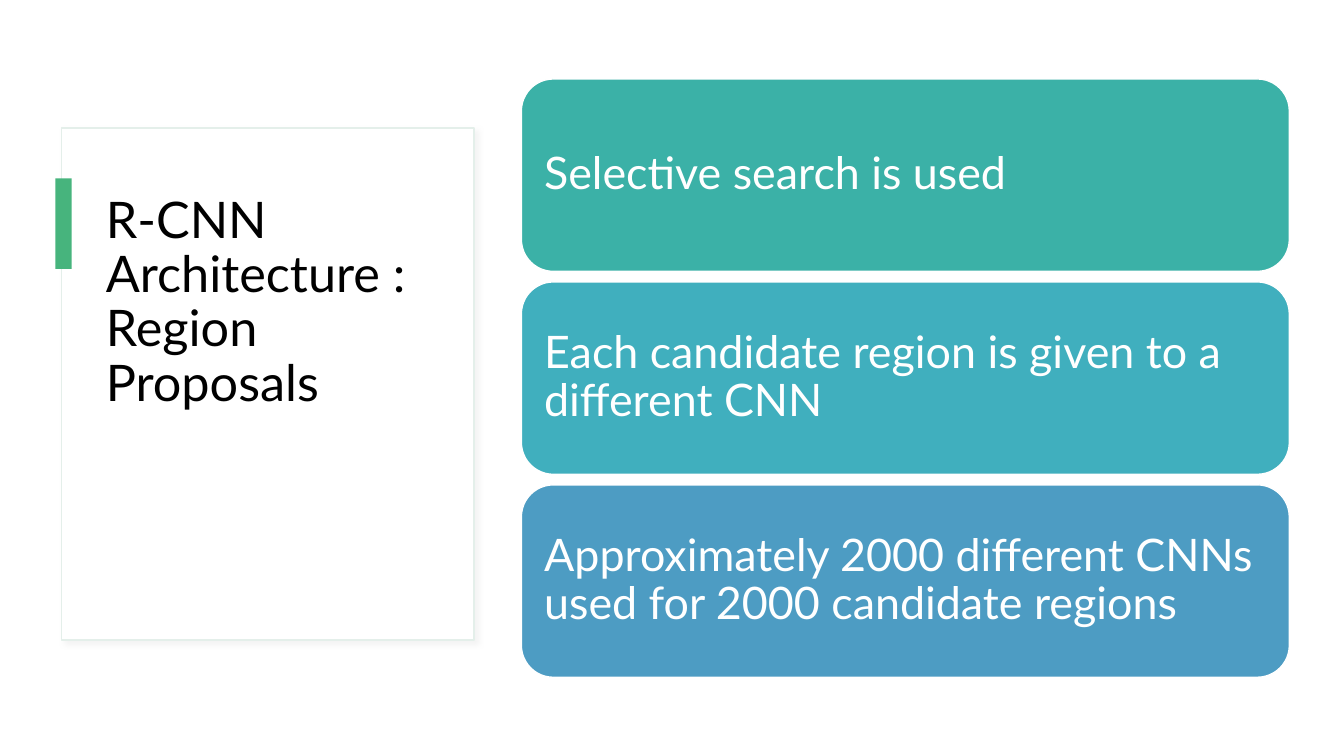
from lxml import etree
from pptx import Presentation
from pptx.dml.color import RGBColor
from pptx.enum.shapes import MSO_SHAPE
from pptx.enum.text import MSO_ANCHOR, PP_ALIGN
from pptx.oxml.ns import qn
from pptx.util import Pt

RECT, ROUND = MSO_SHAPE.RECTANGLE, MSO_SHAPE.ROUNDED_RECTANGLE
TOP, MIDDLE = MSO_ANCHOR.TOP, MSO_ANCHOR.MIDDLE
LEFT = PP_ALIGN.LEFT
FONT = "Lato"
STEPS = [
    ("Selective search is used", "3BB1A7"),
    ("Each candidate region is given to a different CNN", "40AFBE"),
    ("Approximately 2000 different CNNs used for 2000 candidate regions", "4D9CC3"),
]


def color(hex_code):
    return RGBColor.from_string(hex_code)


def add_box(slide, kind, box, fill, line=None):
    shape = slide.shapes.add_shape(kind, *map(Pt, box))
    shape.shadow.inherit = False
    shape.fill.solid()
    shape.fill.fore_color.rgb = color(fill)
    if line:
        shape.line.color.rgb = color(line)
        shape.line.width = Pt(1)
    else:
        shape.line.fill.background()
    return shape


def add_shadow(shape):
    """Give the shape a soft, pale shadow to the lower right."""
    effects = shape._element.spPr.find(qn("a:effectLst"))
    outer = etree.SubElement(effects, qn("a:outerShdw"), blurRad=str(Pt(4)),
                             dist=str(Pt(3)), dir=str(45 * 60000),
                             algn="tl", rotWithShape="0")
    tint = etree.SubElement(outer, qn("a:srgbClr"), val="D9D9D9")
    etree.SubElement(tint, qn("a:alpha"), val="30000")


def set_text(shape, text, size, ink, anchor, pad_x, pad_y):
    frame = shape.text_frame
    frame.text = text
    frame.word_wrap = True
    frame.vertical_anchor = anchor
    frame.margin_left = frame.margin_right = Pt(pad_x)
    frame.margin_top = frame.margin_bottom = Pt(pad_y)
    para = frame.paragraphs[0]
    para.alignment = LEFT
    para.line_spacing = 0.9
    font = para.runs[0].font
    font.name, font.size, font.color.rgb = FONT, Pt(size), color(ink)


def add_card(slide, box, title):
    """Draw the framed title with an accent bar across its left edge."""
    x, y, width, height = box
    card = add_box(slide, RECT, box, "FFFFFF", "E4EFEA")
    add_shadow(card)
    label = slide.shapes.add_textbox(Pt(x + 24.5), Pt(y + 44),
                                     Pt(width - 50), Pt(height - 88))
    set_text(label, title, 36, "000000", TOP, 7.2, 3.6)
    add_box(slide, RECT, (x - 4.5, y + 36, 11.7, 64.8), "47B47D")


def add_stack(slide, box, steps, gap):
    """Fill the box with equal rounded panels, one for each step."""
    x, y, width, height = box
    pitch = (height + gap) / len(steps)
    for i, (text, fill) in enumerate(steps):
        panel = add_box(slide, ROUND, (x, y + i * pitch, width, pitch - gap),
                        fill, "FFFFFF")
        set_text(panel, text, 32, "FFFFFF", MIDDLE, 9.6, 9.6)


def main():
    deck = Presentation()
    deck.slide_width, deck.slide_height = Pt(960), Pt(540)
    slide = deck.slides.add_slide(deck.slide_layouts[6])
    add_card(slide, (44, 91.4, 294.5, 365.8), "R-CNN Architecture : Region Proposals")
    add_stack(slide, (372.4, 56.4, 548.6, 427.4), STEPS, 7.5)
    deck.save("out.pptx")


if __name__ == "__main__":
    main()
